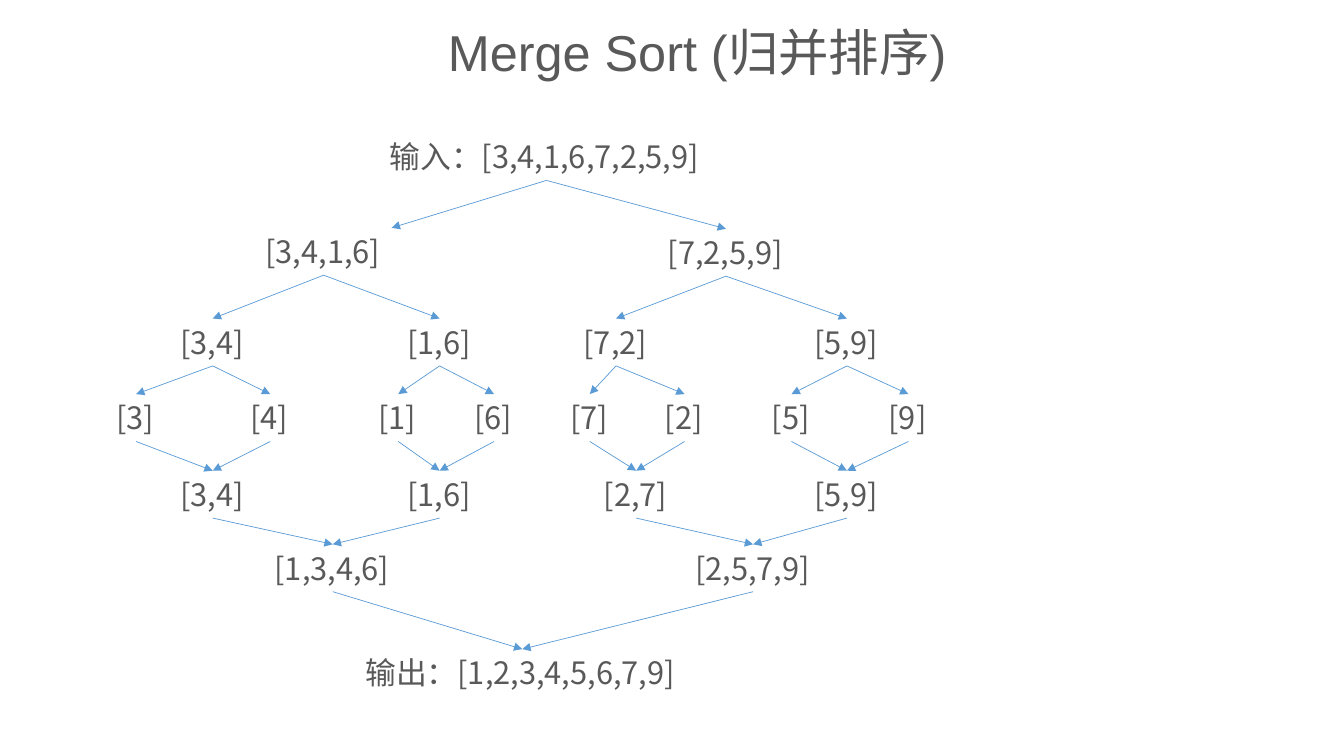
from dataclasses import dataclass

from lxml import etree
from pptx import Presentation
from pptx.dml.color import RGBColor
from pptx.enum.shapes import MSO_CONNECTOR
from pptx.enum.text import MSO_AUTO_SIZE, PP_ALIGN
from pptx.oxml.ns import qn
from pptx.util import Inches, Pt

STRAIGHT = MSO_CONNECTOR.STRAIGHT
GROW = MSO_AUTO_SIZE.SHAPE_TO_FIT_TEXT
CENTER = PP_ALIGN.CENTER

CELL = 0.1  # grid pitch in inches, for columns and rows alike
BOX_ROWS = 4.7
TEXT_COLOR, ARROW_COLOR = "595959", "5B9BD5"
LATIN_FONT, CHINESE_FONT = "Arial", "Noto Sans CJK SC"
# Box width in columns by the number of characters held
BOX_COLUMNS = {3: 5.9, 5: 8.4, 9: 13.5, 20: 33.1}


@dataclass(frozen=True)
class Node:
    text: str
    center: float  # column
    top: float  # row
    arrival: float = 0.5  # share of the width where arrows end

    @property
    def width(self) -> float:
        return BOX_COLUMNS[len(self.text)]

    @property
    def left(self) -> float:
        return self.center - self.width / 2

    @property
    def bottom(self) -> float:
        return self.top + BOX_ROWS


def level(top: float, **centers_by_text: float) -> list[Node]:
    return [Node(f"[{text}]", center, top) for text, center in centers_by_text.items()]


# Levels from the input, split down to single items, then merged again
LEVELS = [
    [Node("输入：[3,4,1,6,7,2,5,9]", 54.2, 13.2)],
    [Node("[3,4,1,6]", 32.1, 22.6, arrival=1), Node("[7,2,5,9]", 72, 22.7)],
    level(31.6, **{"3,4": 21.1, "1,6": 43.6, "7,2": 61.1, "5,9": 84}),
    level(39.1, **{"3": 13.5, "4": 26.8, "1": 39.5, "6": 49,
                   "7": 58.5, "2": 67.9, "5": 78.5, "9": 90.1}),
    level(46.7, **{"3,4": 21.1, "1,6": 43.6, "2,7": 63.1, "5,9": 84}),
    level(54, **{"1,3,4,6": 33, "2,5,7,9": 74.7}),
    [Node("输出：[1,2,3,4,5,6,7,9]", 51.8, 64.4)],
]


def grid(cells: float) -> int:
    return Inches(cells * CELL)


def color(hex_string: str) -> RGBColor:
    return RGBColor.from_string(hex_string)


def add_label(page, text: str, left: float, top: float, width: float,
              height: float, size: float, font: str):
    box = page.shapes.add_textbox(grid(left), grid(top), grid(width), grid(height))
    frame = box.text_frame
    frame.word_wrap = False
    frame.auto_size = GROW
    span = frame.paragraphs[0].add_run()
    span.text = text
    span.font.size = Pt(size)
    span.font.name = font
    span.font.color.rgb = color(TEXT_COLOR)
    east_asian = etree.SubElement(span._r.get_or_add_rPr(), qn("a:ea"))
    east_asian.set("typeface", CHINESE_FONT)
    return frame


def add_title(page) -> None:
    frame = add_label(page, "Merge Sort (归并排序)", 31, 1.6, 76.3, 7.1, 36, LATIN_FONT)
    frame.word_wrap = True
    frame.margin_left = frame.margin_right = Inches(0.05)
    frame.margin_top = frame.margin_bottom = Inches(0.05)
    frame.paragraphs[0].alignment = CENTER


def add_arrow(page, start: Node, end: Node) -> None:
    arrow = page.shapes.add_connector(
        STRAIGHT, grid(start.center), grid(start.bottom),
        grid(end.left + end.width * end.arrival), grid(end.top))
    arrow.line.color.rgb = color(ARROW_COLOR)
    arrow.line.width = Pt(0.5)
    etree.SubElement(arrow.line._get_or_add_ln(), qn("a:tailEnd")).set("type", "triangle")
    etree.SubElement(arrow._element.spPr, qn("a:effectLst"))


def main() -> None:
    deck = Presentation()
    deck.slide_width, deck.slide_height = Inches(13.33), Inches(7.5)
    page = deck.slides.add_slide(deck.slide_layouts[6])

    add_title(page)

    # Number lists
    for nodes in LEVELS:
        for node in nodes:
            add_label(page, node.text, node.left, node.top, node.width,
                      BOX_ROWS, 22, CHINESE_FONT)

    # Each node splits into two below, or each pair merges into one
    for upper, lower in zip(LEVELS, LEVELS[1:]):
        for index in range(max(len(upper), len(lower))):
            if len(lower) > len(upper):
                add_arrow(page, upper[index // 2], lower[index])
            else:
                add_arrow(page, upper[index], lower[index // 2])

    deck.save("out.pptx")


if __name__ == "__main__":
    main()
